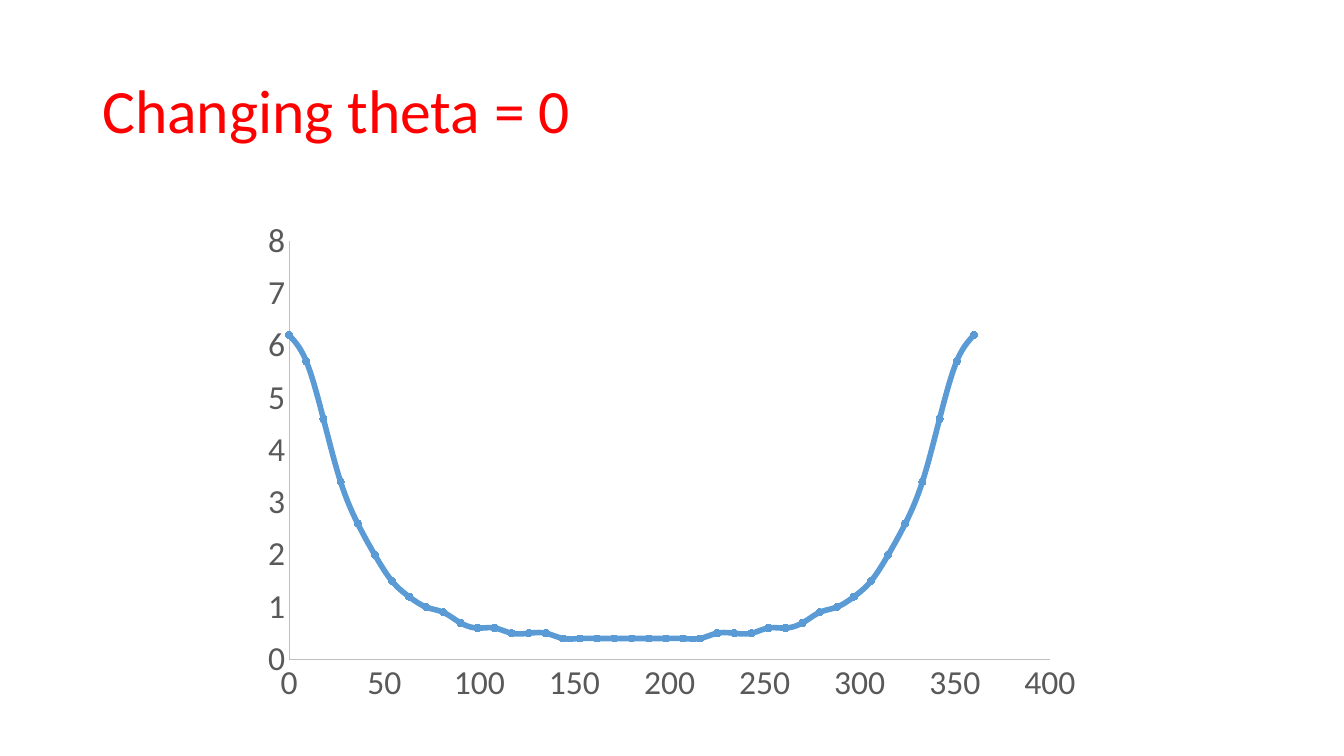
"""Build a slide with a smooth curve of 1 / (1.36 - 1.2 cos x) over a full turn."""
from math import cos, radians

from lxml.etree import SubElement
from pptx import Presentation
from pptx.chart.data import XyChartData
from pptx.dml.color import RGBColor
from pptx.enum.chart import XL_CHART_TYPE, XL_MARKER_STYLE, XL_TICK_MARK
from pptx.enum.text import MSO_ANCHOR
from pptx.oxml.ns import qn
from pptx.util import Pt

TITLE = "Changing theta = 0"
FONT = "Calibri"
COLORS = {"title": "FF0000", "label": "595959", "axis": "BFBFBF", "curve": "5B9BD5"}
STEP, COUNT = 9, 41
AXES = {"x": (400, 50), "y": (8, 1)}
CHART = (180, 150.5, 600.5, 360)
PLOT = {"x": 26.6, "y": 21.8, "w": 543.4, "h": 298.8}
POINTS = [(STEP * i, round(1 / (1.36 - 1.2 * cos(radians(STEP * i))), 1))
          for i in range(COUNT)]


def tint(name):
    return RGBColor.from_string(COLORS[name])


def style(font, size, color):
    font.name, font.size = FONT, Pt(size)
    font.color.rgb = tint(color)


def add_text(slide, text, *, box, size, color, spacing=0.9):
    frame = slide.shapes.add_textbox(*map(Pt, box)).text_frame
    frame.word_wrap = True
    frame.vertical_anchor = MSO_ANCHOR.MIDDLE
    line = frame.paragraphs[0]
    line.line_spacing = spacing
    run = line.add_run()
    run.text = text
    style(run.font, size, color)


def set_axis(axis, top, unit):
    axis.minimum_scale, axis.maximum_scale, axis.major_unit = 0, top, unit
    axis.has_major_gridlines = False
    axis.major_tick_mark = axis.minor_tick_mark = XL_TICK_MARK.NONE
    axis.tick_labels.number_format = "General"
    axis.tick_labels.number_format_is_linked = False
    style(axis.tick_labels.font, 24, "label")
    axis.format.line.color.rgb = tint("axis")
    axis.format.line.width = Pt(0.75)


def set_plot(chart, wide, high):
    area = chart.element.find(".//" + qn("c:plotArea"))
    old = area.find(qn("c:layout"))
    if old is not None:
        area.remove(old)
    layout = SubElement(area, qn("c:layout"))
    area.insert(0, layout)
    manual = SubElement(layout, qn("c:manualLayout"))
    parts = [("layoutTarget", "inner"), ("xMode", "edge"), ("yMode", "edge")]
    parts += [(tag, PLOT[tag] / (wide if tag in "xw" else high)) for tag in PLOT]
    for tag, val in parts:
        SubElement(manual, qn("c:" + tag)).set("val", str(val))


def set_smooth(series):
    node = series.find(qn("c:smooth"))
    if node is None:
        node = SubElement(series, qn("c:smooth"))
    node.set("val", "1")


def add_curve(slide, box):
    data = XyChartData()
    series = data.add_series("Series 1")
    for x, y in POINTS:
        series.add_data_point(x, y)
    chart = slide.shapes.add_chart(
        XL_CHART_TYPE.XY_SCATTER_SMOOTH, *map(Pt, box), data).chart
    chart.has_legend = chart.has_title = False
    chart.font.name, chart.font.size = FONT, Pt(10)
    set_axis(chart.category_axis, *AXES["x"])
    set_axis(chart.value_axis, *AXES["y"])
    set_plot(chart, *box[2:])
    chart.plots[0].vary_by_categories = False
    curve = chart.plots[0].series[0]
    curve.format.line.color.rgb = tint("curve")
    curve.format.line.width = Pt(4)
    mark = curve.marker
    mark.style, mark.size = XL_MARKER_STYLE.CIRCLE, 5
    mark.format.fill.solid()
    mark.format.fill.fore_color.rgb = tint("curve")
    mark.format.line.color.rgb = tint("curve")
    set_smooth(chart.element.find(".//" + qn("c:ser")))


def main():
    deck = Presentation()
    deck.slide_width, deck.slide_height = Pt(960), Pt(540)
    slide = deck.slides.add_slide(deck.slide_layouts[6])
    add_text(slide, TITLE, box=(66, 28.8, 828, 104.4), size=44, color="title")
    add_curve(slide, CHART)
    deck.save("out.pptx")


if __name__ == "__main__":
    main()
